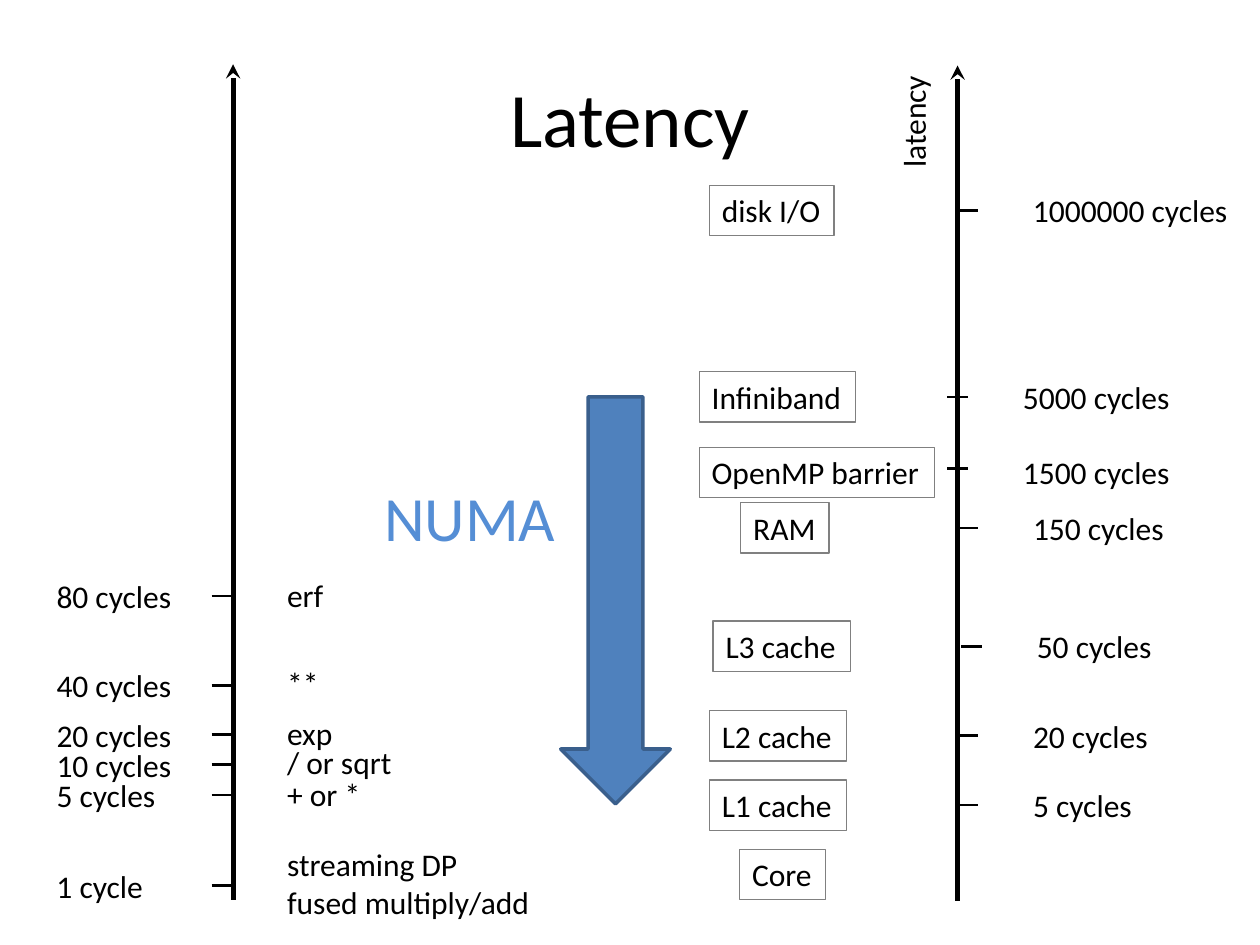
from lxml.etree import SubElement
from pptx import Presentation
from pptx.dml.color import RGBColor
from pptx.enum.shapes import MSO_CONNECTOR as Connector, MSO_SHAPE as Shape
from pptx.enum.text import MSO_ANCHOR as Anchor, MSO_AUTO_SIZE as AutoSize, PP_ALIGN as Align
from pptx.oxml.ns import qn
from pptx.util import Inches, Pt

COLORS = {
    "text": "000000",
    "axis": "000000",
    "border": "808080",
    "arrow": "4F81BD",
    "arrow_edge": "3A5F8C",
    "numa": "558ED5",
}
FONT = "Calibri"
ROW_HEIGHT = 0.4
TICK_LENGTH = 0.16

# label, left, width, top, cycles, cycles width, tick left, tick offset
MEMORY_ROWS = [
    ("L1 cache", 5.63, 1.09, 6.19, "5 cycles", 0.99, 7.6, 0.2),
    ("L2 cache", 5.63, 1.09, 5.64, "20 cycles", 1.12, 7.6, 0.2),
    ("L3 cache", 5.66, 1.09, 4.93, "50 cycles", 1.12, 7.63, 0.2),
    ("RAM", 5.88, 0.7, 3.99, "150 cycles", 1.25, 7.6, 0.2),
    ("Infiniband", 5.55, 1.24, 2.95, "5000 cycles", 1.38, 7.52, 0.2),
    ("OpenMP barrier", 5.55, 1.87, 3.55, "1500 cycles", 1.38, 7.52, 0.17),
    ("disk I/O", 5.63, 0.99, 1.47, "1000000 cycles", 1.76, 7.6, 0.2),
]

# cycles, cycles width, top, operation, operation width, top, height
OPERATION_ROWS = [
    ("1 cycle", 0.9, 6.83, "streaming DP\vfused multiply/add", 2.15, 6.66, 0.71),
    ("5 cycles", 0.99, 6.11, "+ or *", 0.79, 6.1, ROW_HEIGHT),
    ("10 cycles", 1.12, 5.87, "/ or sqrt", 1.04, 5.85, ROW_HEIGHT),
    ("20 cycles", 1.12, 5.63, "exp", 0.57, 5.62, ROW_HEIGHT),
    ("40 cycles", 1.12, 5.24, "**", 0.45, 5.22, ROW_HEIGHT),
    ("80 cycles", 1.12, 4.53, "erf", 0.49, 4.52, ROW_HEIGHT),
]


def rgb(name):
    """Return the named colour."""
    return RGBColor.from_string(COLORS[name])


def add_text(shapes, text, left, top, width, height=ROW_HEIGHT, size=18, color="text"):
    """Add an unwrapped text box that fits its text."""
    box = shapes.add_textbox(Inches(left), Inches(top), Inches(width), Inches(height))
    frame = box.text_frame
    frame.word_wrap = False
    frame.auto_size = AutoSize.SHAPE_TO_FIT_TEXT
    frame.text = text
    font = frame.paragraphs[0].font
    font.name, font.size = FONT, Pt(size)
    font.color.rgb = rgb(color)
    return box


def add_boxed_text(shapes, text, left, top, width):
    """Add a label with a thin grey border."""
    box = add_text(shapes, text, left, top, width)
    box.line.color.rgb = rgb("border")
    box.line.width = Pt(0.75)


def add_line(shapes, start, end, weight, arrowhead=False):
    """Add a straight line, with a stealth arrowhead at its end if wanted."""
    line = shapes.add_connector(Connector.STRAIGHT, *map(Inches, start + end))
    line.line.color.rgb = rgb("axis")
    line.line.width = Pt(weight)
    if arrowhead:
        SubElement(line.line._get_or_add_ln(), qn("a:tailEnd"), type="stealth")
    SubElement(line._element.spPr, qn("a:effectLst"))


def add_tick(shapes, left, y):
    """Add a short horizontal tick mark."""
    add_line(shapes, (left, y), (left + TICK_LENGTH, y), 1.5)


def add_title(page):
    """Add the centred slide heading."""
    box = add_text(page.shapes, "Latency", 0.5, 0.3, 9, 1.25, size=44)
    frame = box.text_frame
    frame.auto_size = AutoSize.NONE
    frame.word_wrap = True
    frame.vertical_anchor = Anchor.MIDDLE
    frame.paragraphs[0].alignment = Align.CENTER


def add_memory_axis(page):
    """Add the right axis with the latency of each memory level."""
    add_boxed_text(page.shapes, "Core", 5.87, 6.74, 0.68)
    add_line(page.shapes, (7.6, 7.15), (7.6, 0.52), 2.75, arrowhead=True)
    for label, left, width, top, cycles, cycles_width, tick, offset in MEMORY_ROWS:
        row = page.shapes.add_group_shape().shapes
        add_boxed_text(row, label, left, top, width)
        add_text(row, cycles, tick + 0.5, top, cycles_width)
        add_tick(row, tick, top + offset)
    add_text(page.shapes, "latency", 6.78, 0.76, 0.94).rotation = 270


def add_operation_axis(page):
    """Add the left axis with the latency of each operation."""
    add_line(page.shapes, (1.85, 7.14), (1.85, 0.51), 2.75, arrowhead=True)
    for cycles, cycles_width, top, name, width, name_top, height in OPERATION_ROWS:
        row = page.shapes.add_group_shape().shapes
        add_text(row, cycles, 0.35, top, cycles_width)
        add_text(row, name, 2.18, name_top, width, height)
        add_tick(row, 1.68, top + 0.2)


def add_numa_arrow(page):
    """Add the block arrow and its NUMA label."""
    group = page.shapes.add_group_shape().shapes
    arrow = group.add_shape(Shape.DOWN_ARROW, Inches(4.45), Inches(3.15), Inches(0.87), Inches(3.23))
    arrow.shadow.inherit = False
    arrow.fill.solid()
    arrow.fill.fore_color.rgb = rgb("arrow")
    arrow.line.color.rgb = rgb("arrow_edge")
    arrow.line.width = Pt(2)
    add_text(group, "NUMA", 2.95, 3.75, 1.58, 0.71, size=36, color="numa")


def main():
    """Build the slide and save it."""
    deck = Presentation()
    deck.slide_width, deck.slide_height = Inches(10), Inches(7.5)
    page = deck.slides.add_slide(deck.slide_layouts[6])
    add_title(page)
    add_memory_axis(page)
    add_operation_axis(page)
    add_numa_arrow(page)
    deck.save("out.pptx")


main()
